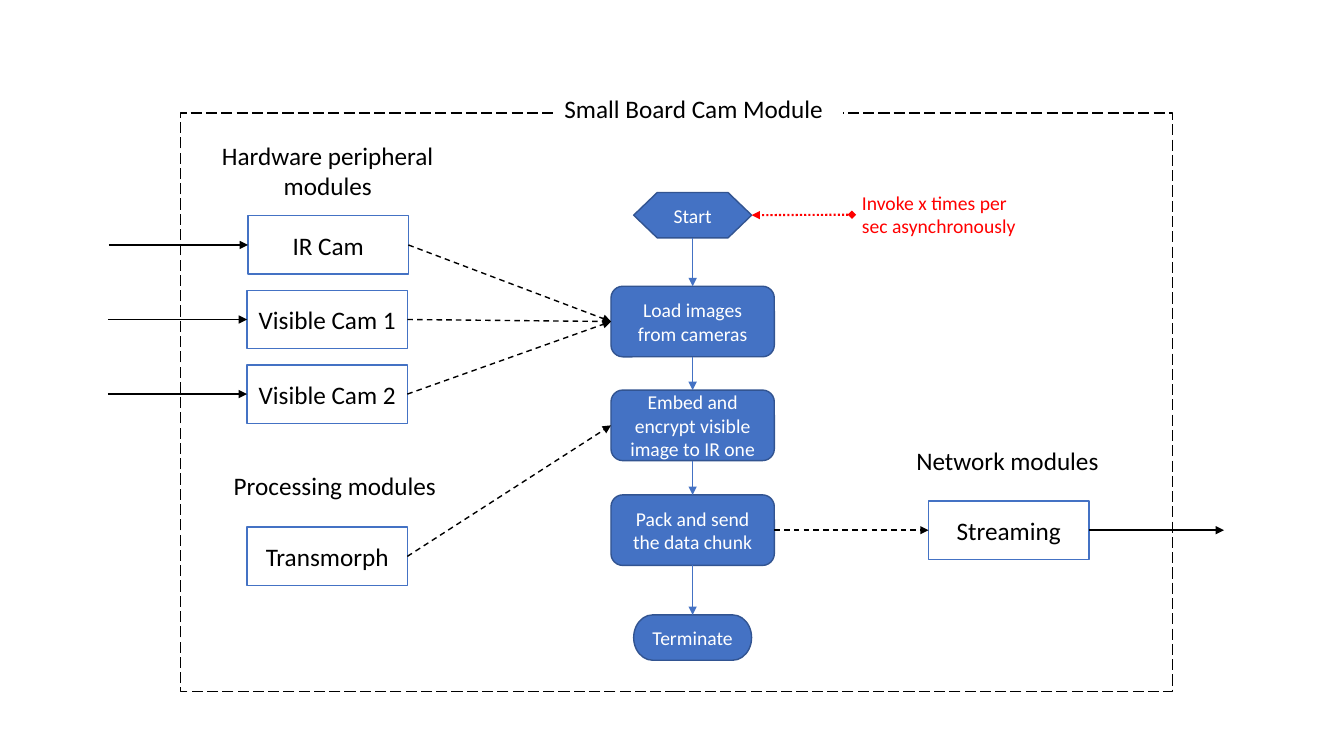
import pptx
import pptx.util
import pptx.dml.color
import pptx.enum.dml
import pptx.enum.shapes
import pptx.enum.text
import pptx.oxml.ns
import lxml.etree

Inches = pptx.util.Inches
SHAPE = pptx.enum.shapes.MSO_SHAPE
DASH = pptx.enum.dml.MSO_LINE
ALIGN = pptx.enum.text.PP_ALIGN
BLUE, NAVY, BLACK, WHITE, RED = "4472C4", "325491", "000000", "FFFFFF", "FF0000"
TOP, LEFT, BOTTOM, RIGHT = range(4)

FRAME = (1.79, 1.12, 9.84, 5.74)
MODULE_SIZE = (1.59, 0.58)
MODULES = [
    ("IR Cam", 2.46, 2.14),
    ("Visible Cam 1", 2.45, 2.88),
    ("Visible Cam 2", 2.45, 3.62),
    ("Transmorph", 2.45, 5.23),
    ("Streaming", 9.21, 4.97),
]
FLOW_CENTER = 6.87
STEP_SIZE, END_SIZE = (1.62, 0.7), (1.17, 0.45)
STEPS = [
    ("Start", SHAPE.FLOWCHART_PREPARATION, 1.91, END_SIZE),
    ("Load images from cameras", SHAPE.ROUNDED_RECTANGLE, 2.84, STEP_SIZE),
    ("Embed and encrypt visible image to IR one", SHAPE.ROUNDED_RECTANGLE, 3.87, STEP_SIZE),
    ("Pack and send the data chunk", SHAPE.ROUNDED_RECTANGLE, 4.91, STEP_SIZE),
    ("Terminate", SHAPE.FLOWCHART_TERMINATOR, 6.1, END_SIZE),
]
START, LOAD, EMBED, PACK, TERMINATE = [step[0] for step in STEPS]
CAMERAS = ["IR Cam", "Visible Cam 1", "Visible Cam 2"]
LABELS = [
    (["Small Board Cam Module"], (5.5, 0.88, 2.86, 0.4), 18, BLACK, ALIGN.LEFT, WHITE),
    (["Hardware peripheral", "modules"], (2.09, 1.34, 2.32, 0.71), 18, BLACK, ALIGN.CENTER, None),
    (["Processing modules"], (2.22, 4.62, 2.23, 0.4), 18, BLACK, ALIGN.LEFT, None),
    (["Network modules"], (8.99, 4.37, 2.03, 0.4), 18, BLACK, ALIGN.LEFT, None),
    (["Invoke x times per ", "sec asynchronously"], (8.45, 1.84, 1.74, 0.57), 14, RED, ALIGN.LEFT, None),
]
INPUT_LENGTH = 1.38
OUTPUT_END = (12.14, 5.26)
INVOKE_START = (8.45, 2.13)

deck = pptx.Presentation()
deck.slide_width, deck.slide_height = Inches(13.33), Inches(7.5)
page = deck.slides.add_slide(deck.slide_layouts[6])


def color(value):
    return pptx.dml.color.RGBColor.from_string(value)


def paint(shape, fill):
    if fill:
        shape.fill.solid()
        shape.fill.fore_color.rgb = color(fill)
    else:
        shape.fill.background()


def draw_line(line, stroke, width, dash=None):
    line.color.rgb = color(stroke)
    line.width = pptx.util.Pt(width)
    if dash:
        line.dash_style = dash


def write(shape, lines, size, ink, align):
    para = shape.text_frame.paragraphs[0]
    para.alignment = align
    for index, text in enumerate(lines):
        if index:
            para.add_line_break()
        span = para.add_run()
        span.text = text
        span.font.name = "Calibri"
        span.font.size = pptx.util.Pt(size)
        span.font.color.rgb = color(ink)


def add_box(kind, place, fill, stroke, dash=None):
    box = page.shapes.add_shape(kind, *map(Inches, place))
    box.shadow.inherit = False
    paint(box, fill)
    draw_line(box.line, stroke, 1, dash)
    return box


def add_text_box(kind, place, fill, stroke, text, size, ink):
    box = add_box(kind, place, fill, stroke)
    box.text_frame.vertical_anchor = pptx.enum.text.MSO_ANCHOR.MIDDLE
    write(box, [text], size, ink, ALIGN.CENTER)
    return box


def add_arrow(start, end, stroke=BLACK, width=1, dash=None, head=None):
    arrow = page.shapes.add_connector(pptx.enum.shapes.MSO_CONNECTOR.STRAIGHT, 0, 0, 0, 0)
    if isinstance(start[0], str):
        arrow.begin_connect(boxes[start[0]], start[1])
    else:
        arrow.begin_x, arrow.begin_y = map(Inches, start)
    if isinstance(end[0], str):
        arrow.end_connect(boxes[end[0]], end[1])
    else:
        arrow.end_x, arrow.end_y = map(Inches, end)
    draw_line(arrow.line, stroke, width, dash)
    outline = arrow.line._get_or_add_ln()
    for tag, kind in (("a:headEnd", head), ("a:tailEnd", "triangle")):
        if kind:
            lxml.etree.SubElement(outline, pptx.oxml.ns.qn(tag), type=kind)
    lxml.etree.SubElement(arrow._element.spPr, pptx.oxml.ns.qn("a:effectLst"))


add_box(SHAPE.RECTANGLE, FRAME, None, BLACK, DASH.LONG_DASH)

for lines, place, size, ink, align, fill in LABELS:
    label = page.shapes.add_textbox(*map(Inches, place))
    paint(label, fill)
    label.text_frame.word_wrap = False
    label.text_frame.auto_size = pptx.enum.text.MSO_AUTO_SIZE.SHAPE_TO_FIT_TEXT
    write(label, lines, size, ink, align)

boxes = {}
for name, left, top in MODULES:
    boxes[name] = add_text_box(SHAPE.RECTANGLE, (left, top, *MODULE_SIZE), WHITE, BLUE, name, 18, BLACK)
for name, kind, top, (width, height) in STEPS:
    place = (FLOW_CENTER - width / 2, top, width, height)
    boxes[name] = add_text_box(kind, place, BLUE, NAVY, name, 14, WHITE)

for name, left, top in MODULES:
    if name in CAMERAS:
        add_arrow((left - INPUT_LENGTH, top + MODULE_SIZE[1] / 2), (name, LEFT))
        add_arrow((name, RIGHT), (LOAD, LEFT), dash=DASH.DASH)
for upper, lower in zip(STEPS, STEPS[1:]):
    add_arrow((upper[0], BOTTOM), (lower[0], TOP), BLUE, 0.5)
add_arrow(("Transmorph", RIGHT), (EMBED, LEFT), dash=DASH.DASH)
add_arrow((PACK, RIGHT), ("Streaming", LEFT), dash=DASH.DASH)
add_arrow(("Streaming", RIGHT), OUTPUT_END)
add_arrow(INVOKE_START, (START, RIGHT), RED, 1.5, DASH.ROUND_DOT, "diamond")

deck.save("out.pptx")
